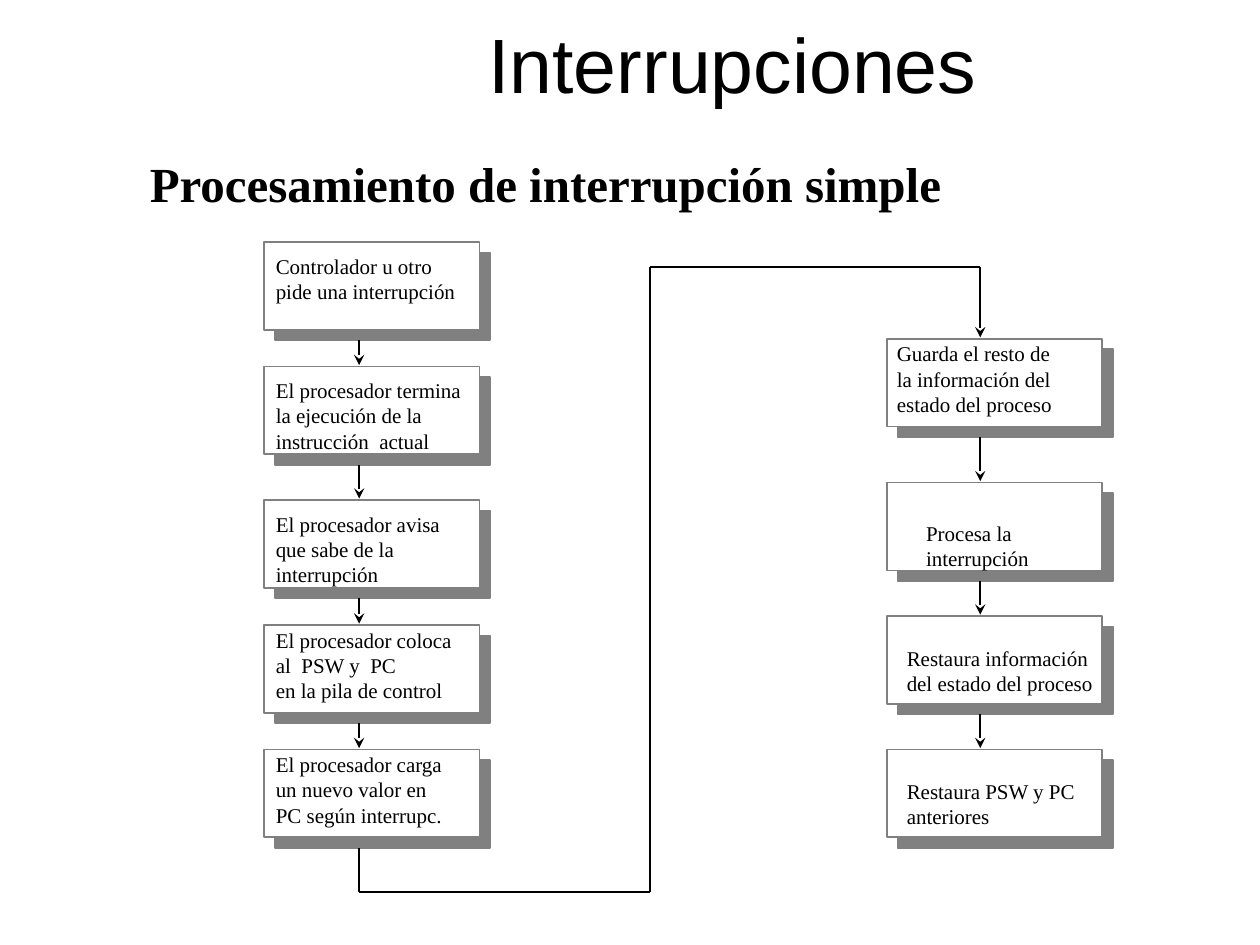
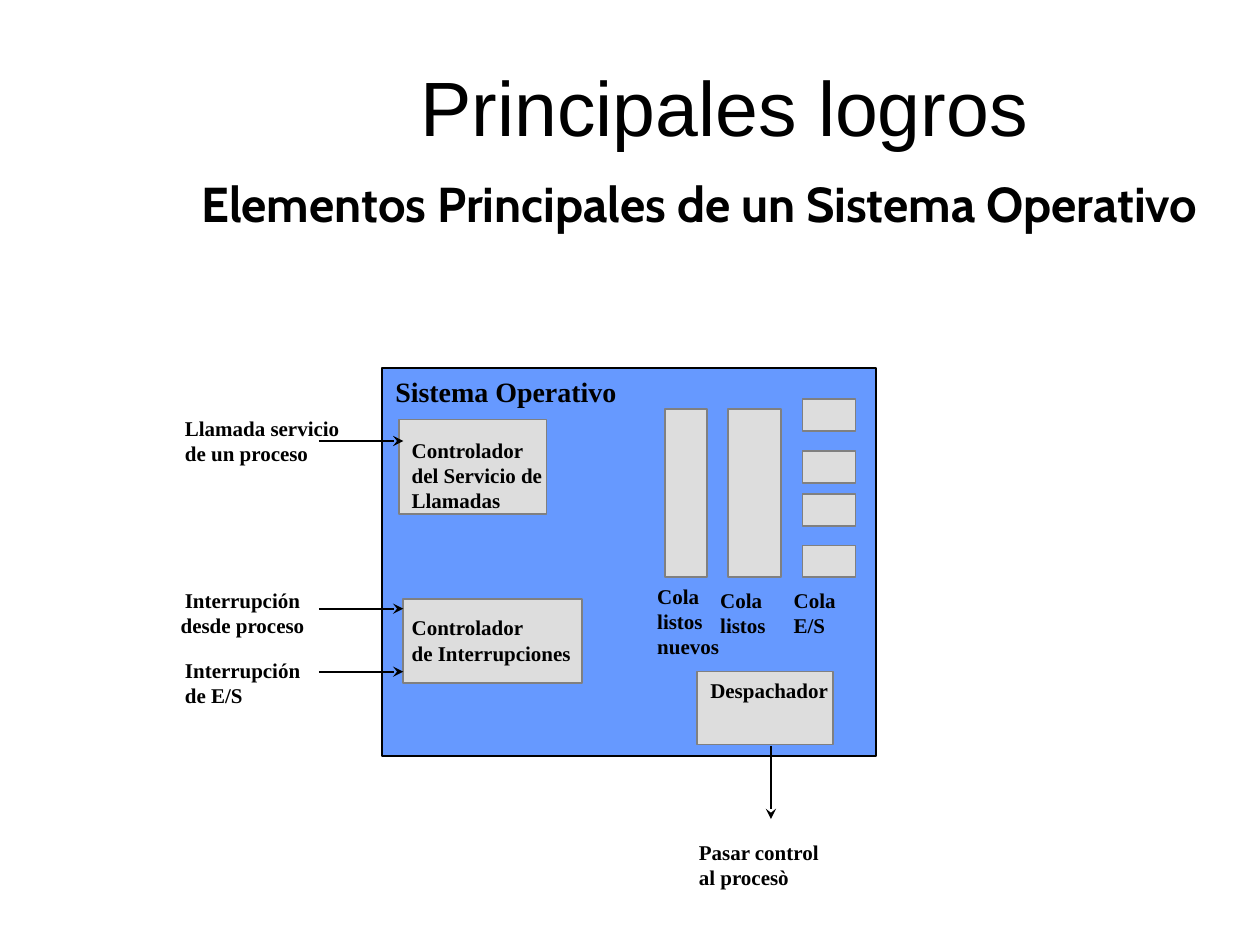
from itertools import pairwise

from lxml.etree import SubElement
from pptx import Presentation
from pptx.dml.color import RGBColor
from pptx.enum.shapes import MSO_CONNECTOR as Link, MSO_SHAPE as Form
from pptx.enum.text import MSO_ANCHOR as Anchor, MSO_AUTO_SIZE as Fit, PP_ALIGN as Align
from pptx.oxml.ns import qn
from pptx.util import Cm, Pt

BLACK = RGBColor(0x00, 0x00, 0x00)
WHITE = RGBColor(0xFF, 0xFF, 0xFF)
GREY = RGBColor(0x80, 0x80, 0x80)
PALE = RGBColor(0xDD, 0xDD, 0xDD)
BLUE = RGBColor(0x66, 0x99, 0xFF)
SERIF = "Times New Roman"

TITLE = {"size": Pt(44), "name": "Arial", "bold": False}
HEAD = {"size": Pt(28), "name": SERIF, "bold": True}
NOTE = {"size": Pt(12), "name": SERIF, "bold": False}
LABEL = NOTE | {"bold": True}


def write(slide, at, rows, style, align=Align.LEFT, anchor=Anchor.TOP, wrap=False):
    """Add a text box at (left, top, width, height) with one paragraph per row."""
    box = slide.shapes.add_textbox(*map(Cm, at))
    frame = box.text_frame
    frame.word_wrap = wrap
    frame.auto_size = Fit.NONE if style is TITLE else Fit.SHAPE_TO_FIT_TEXT
    frame.vertical_anchor = anchor
    frame.text = "\n".join(rows)
    for para in frame.paragraphs:
        para.alignment = align
        for key, value in style.items():
            setattr(para.font, key, value)
        para.font.color.rgb = BLACK


def draw(slide, start, end, arrow=True):
    """Add a thin black line, with an arrowhead at its end if asked."""
    wire = slide.shapes.add_connector(Link.STRAIGHT, *map(Cm, start + end))
    wire.line.color.rgb = BLACK
    wire.line.width = Pt(1)
    props = wire.element.spPr
    if arrow:
        SubElement(props.find(qn("a:ln")), qn("a:tailEnd"), type="stealth")
    SubElement(props, qn("a:effectLst"))


deck = Presentation()
deck.slide_width, deck.slide_height = Cm(25.4), Cm(19.05)
blank = deck.slide_layouts[6]
flow = deck.slides.add_slide(blank)
system = deck.slides.add_slide(blank)

# Titles and headings
write(flow, (4.14, 0, 21.26, 2.54), ["Interrupciones"], TITLE,
      Align.CENTER, Anchor.MIDDLE, True)
write(system, (3.81, 0, 21.59, 3.18), ["Principales logros"], TITLE,
      Align.CENTER, Anchor.BOTTOM, True)
write(flow, (2.77, 2.97, 16.48, 1.45), ["Procesamiento de interrupción simple"], HEAD)
write(system, (3.81, 3.38, 21.59, 1.45), ["Elementos Principales de un Sistema Operativo"],
      HEAD | {"name": "Cabin"}, wrap=True)

# Steps: top of the box, then left, drop and width of its text
STEP_W, STEP_H = 4.34, 1.77
columns = [
    (5.33, 7.24, [
        (4.88, 5.31, 0.1, 4.25, ["Controlador u otro", "pide una interrupción"]),
        (7.39, 5.31, 0.1, 4.35,
         ["El procesador termina", "la ejecución de la", "instrucción  actual"]),
        (10.08, 5.31, 0.1, 3.95,
         ["El procesador avisa", "que sabe de la", "interrupción"]),
        (12.6, 5.31, -0.08, 4.2,
         ["El procesador coloca", "al  PSW y  PC", "en la pila de control"]),
        (15.11, 5.31, -0.08, 4,
         ["El procesador carga", "un nuevo valor en", "PC según interrupc."]),
    ]),
    (17.88, 19.76, [
        (6.83, 17.83, -0.08, 3.85,
         ["Guarda el resto de", "la información del", "estado del proceso"]),
        (9.73, 18.42, 0.64, 2.7, ["Procesa la", "interrupción"]),
        (12.42, 18.03, 0.46, 4.4, ["Restaura información", "del estado del proceso"]),
        (15.11, 18.03, 0.46, 4.05, ["Restaura PSW y PC", "anteriores"]),
    ]),
]

# Boxes of both slides: slide, place, fill, edge
boxes = [(flow, (left, step[0], STEP_W, STEP_H), WHITE, GREY)
         for left, axis, steps in columns for step in steps]
boxes.append((system, (7.7, 7.42, 9.96, 7.82), BLUE, BLACK))
parts = [
    (8.05, 8.46, 2.97, 1.9),
    (8.13, 12.07, 3.61, 1.7),
    (14.05, 13.54, 2.74, 1.47),
    (13.41, 8.25, 0.84, 3.38),
    (14.68, 8.25, 1.07, 3.38),
]
parts += [(16.18, top, 1.07, 0.64) for top in (8.05, 9.1, 9.96, 11)]
boxes += [(system, part, PALE, GREY) for part in parts]

for slide, at, fill, edge in boxes:
    box = slide.shapes.add_shape(Form.RECTANGLE, *map(Cm, at))
    box.fill.solid()
    box.fill.fore_color.rgb = fill
    box.line.color.rgb = edge
    box.line.width = Pt(1)
    box.shadow.inherit = False
    if slide is flow:
        effects = box.element.spPr.find(qn("a:effectLst"))
        shade = SubElement(effects, qn("a:outerShdw"), dist=str(Pt(8.5)),
                           dir=str(45 * 60000), algn="ctr", rotWithShape="0")
        SubElement(shade, qn("a:srgbClr"), val=str(GREY))

# Texts and arrows of the steps
for left, axis, steps in columns:
    for top, x, drop, width, rows in steps:
        write(flow, (x, top + drop, width, 0.25 + 0.51 * len(rows)), rows, NOTE)
    for step, after in pairwise(steps):
        draw(flow, (axis, step[0] + 1.98), (axis, after[0] - 0.03))

# Path from the last step on the left to the first on the right
bends = [(7.24, 17.1), (7.24, 17.98), (13.11, 17.98), (13.11, 5.38),
         (19.76, 5.38), (19.76, 6.8)]
for start, end in pairwise(bends):
    draw(flow, start, end, end == bends[-1])

# Labels of the operating system
write(system, (7.72, 7.42, 4.98, 0.94), ["Sistema Operativo"], LABEL | {"size": Pt(16)})
labels = [
    (3.48, 8.25, 3.63, ["Llamada servicio", "de un proceso"]),
    (13, 11.63, 1.75, ["Cola", "listos", "nuevos"]),
    (14.27, 11.71, 1.47, ["Cola", "listos"]),
    (15.75, 11.71, 1.37, ["Cola", "E/S"]),
    (13.84, 16.79, 2.95, ["Pasar control", "al procesò"]),
    (3.48, 13.13, 3.18, ["Interrupción", "de E/S"]),
    (14.07, 13.54, 2.9, ["Despachador"]),
    (8.05, 8.69, 3.61, ["Controlador", "del Servicio de", "Llamadas"]),
    (8.05, 12.27, 3.73, ["Controlador", "de Interrupciones"]),
]
for x, y, width, rows in labels:
    write(system, (x, y, width, 0.25 + 0.51 * len(rows)), rows, LABEL)
write(system, (3.38, 11.71, 3.02, 1.27), ["Interrupción", "desde proceso"], LABEL,
      Align.CENTER)

for y in (8.89, 12.27, 13.54):
    draw(system, (6.43, y), (8.13, y))
draw(system, (15.54, 15.04), (15.54, 16.51))

deck.save("out.pptx")
